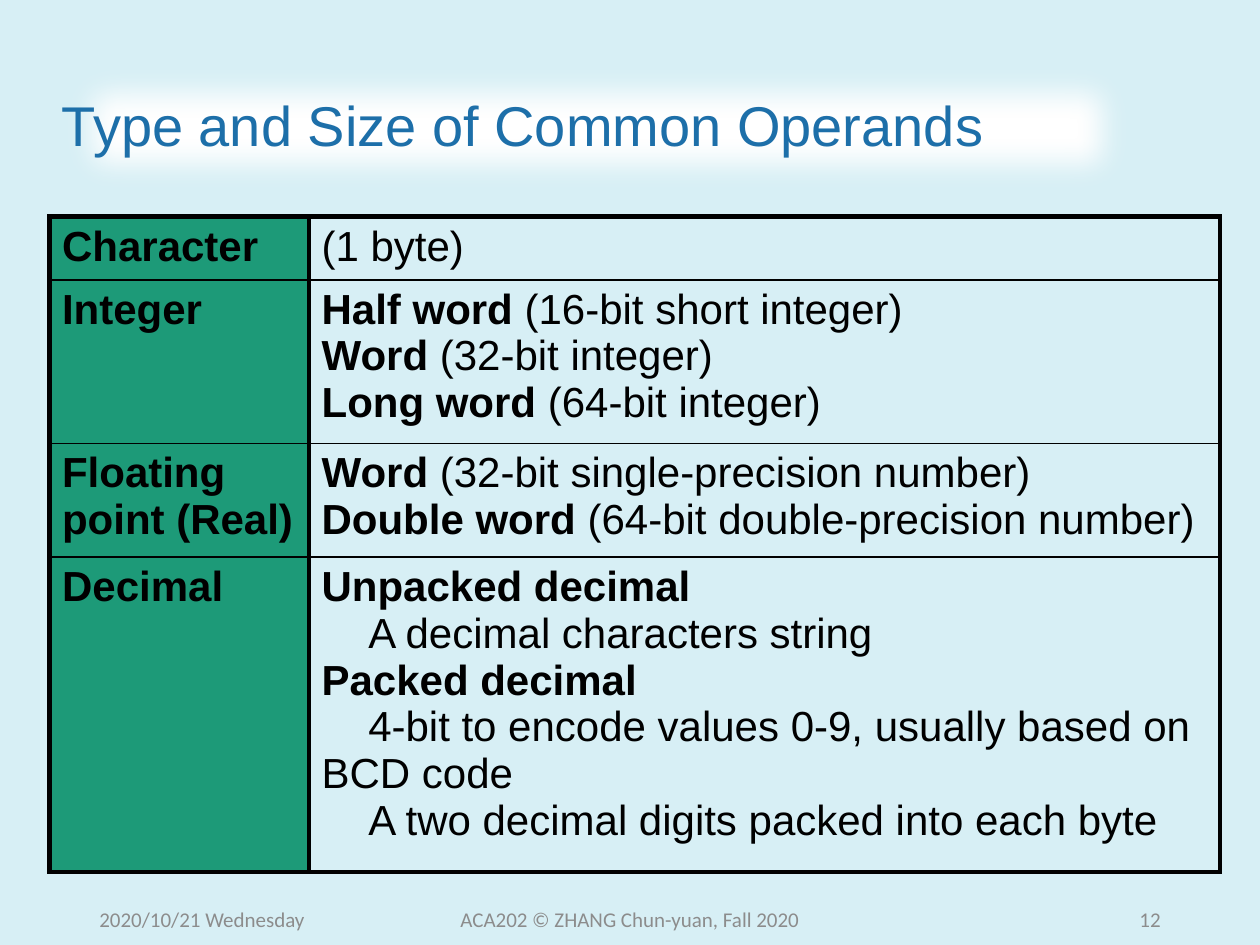
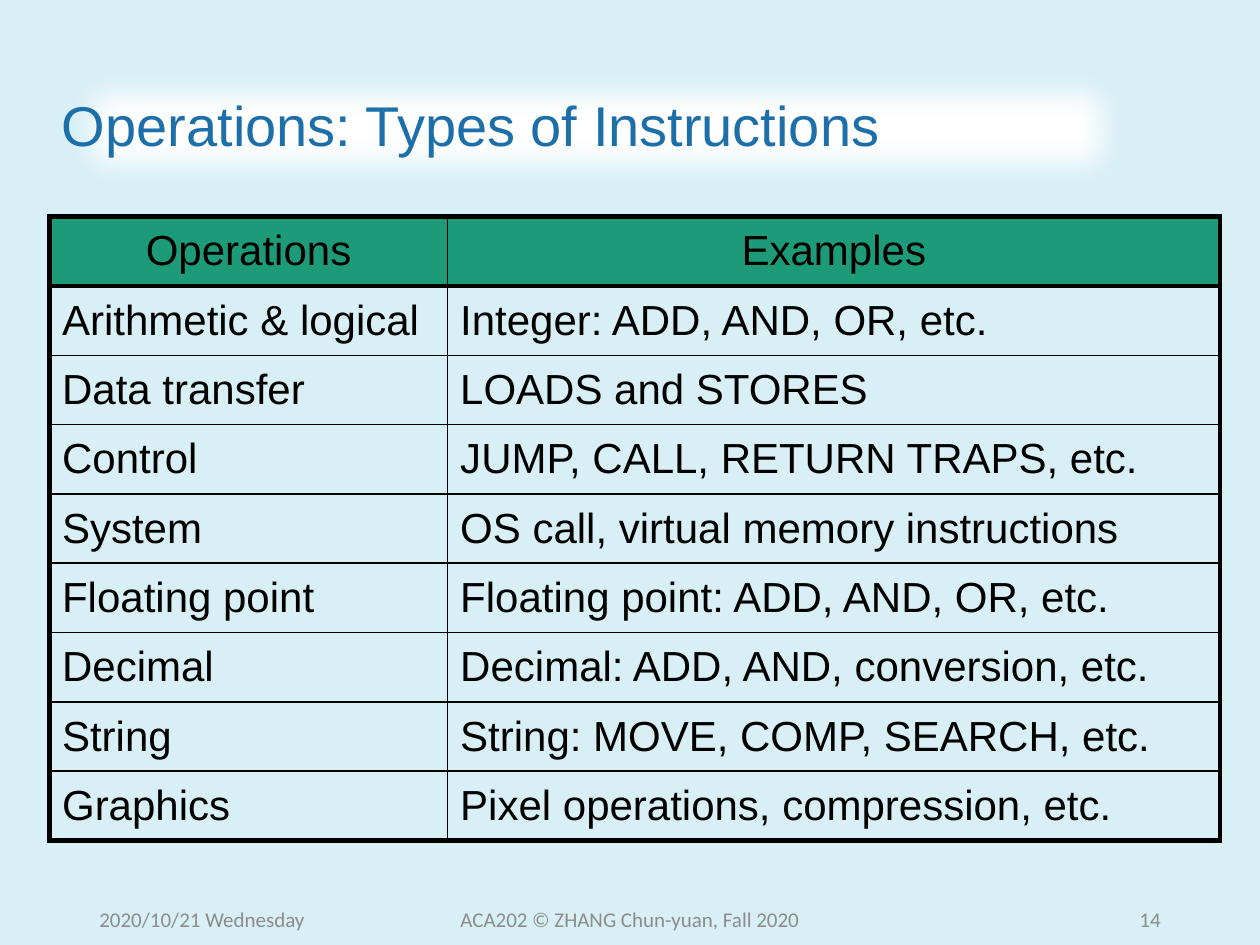
from lxml import etree
from pptx import Presentation
from pptx import util as u
from pptx.dml.color import RGBColor
from pptx.enum import shapes, text
from pptx.oxml import ns

WIDTH, HEIGHT = u.Inches(10), u.Inches(7.5)
COLUMNS, ROWS = 100, 75
BACKGROUND, WHITE, BLACK = "D7EFF5", "FFFFFF", "000000"
TITLE_BLUE, HEADER_GREEN, FOOTER_GREY = "1D6FA9", "1D9A78", "8C8C8C"
THICK, THIN = 3, 1
LEFT, TABLE_TOP, TABLE_WIDTH = 3.93, 17.2, 92.9
LINE_HEIGHT, CELL_PADDING = 2.8, 0.8
SOFT_EDGE = u.Pt(20)
FIRST_LINE_INDENT = u.Inches(0.37)
ALIGN = text.PP_ALIGN

FOOTER_DATE = "2020/10/21 Wednesday"
FOOTER_COURSE = "ACA202 © ZHANG Chun-yuan, Fall 2020"

OPERANDS = [
    ("Character", [("", "(1 byte)")]),
    ("Integer", [
        ("Half word", " (16-bit short integer)"),
        ("Word", " (32-bit integer)"),
        ("Long word", " (64-bit integer)"),
    ]),
    ("Floating point (Real)", [
        ("Word", " (32-bit single-precision number)"),
        ("Double word", " (64-bit double-precision number)"),
    ]),
    ("Decimal", [
        ("Unpacked decimal", ""),
        ("", "A decimal characters string"),
        ("Packed decimal", ""),
        ("", "4-bit to encode values 0-9, usually based on BCD code"),
        ("", "A two decimal digits packed into each byte"),
    ]),
]

INSTRUCTIONS = [
    ("Operations", "Examples"),
    ("Arithmetic & logical", "Integer: ADD, AND, OR, etc."),
    ("Data transfer", "LOADS and STORES"),
    ("Control", "JUMP, CALL, RETURN TRAPS, etc."),
    ("System", "OS call, virtual memory instructions"),
    ("Floating point", "Floating point: ADD, AND, OR, etc."),
    ("Decimal", "Decimal: ADD, AND, conversion, etc."),
    ("String", "String: MOVE, COMP, SEARCH, etc."),
    ("Graphics", "Pixel operations, compression, etc."),
]


def color(value):
    """Turn a hex string into a colour."""
    return RGBColor.from_string(value)


def across(columns):
    """Return the length of a number of grid columns."""
    return int(WIDTH * columns / COLUMNS)


def down(rows):
    """Return the length of a number of grid rows."""
    return int(HEIGHT * rows / ROWS)


def area(left, top, width, height):
    """Return a box of grid cells as lengths."""
    return across(left), down(top), across(width), down(height)


def style(paragraph, size, ink, face="Arial", align=ALIGN.LEFT):
    """Set the font and alignment of a paragraph."""
    paragraph.font.size = u.Pt(size)
    paragraph.font.name = face
    paragraph.font.color.rgb = color(ink)
    paragraph.alignment = align


def add_title(slide, wording):
    """Add the title on its white band with soft edges."""
    band = slide.shapes.add_shape(shapes.MSO_SHAPE.RECTANGLE, *area(LEFT, 4.05, 86.9, 12.3))
    band.fill.solid()
    band.fill.fore_color.rgb = color(WHITE)
    band.line.fill.background()
    band.shadow.inherit = False
    effects = band._element.spPr.find(ns.qn("a:effectLst"))
    etree.SubElement(effects, ns.qn("a:softEdge"), rad=str(SOFT_EDGE))
    band.text_frame.word_wrap = True
    band.text_frame.vertical_anchor = text.MSO_ANCHOR.MIDDLE
    paragraph = band.text_frame.paragraphs[0]
    paragraph.text = wording
    paragraph.line_spacing = 0.9
    style(paragraph, 32, TITLE_BLUE)


def add_footer(slide, number):
    """Add the date, the course and the slide number."""
    parts = [
        (FOOTER_DATE, 6.9, 22.5, ALIGN.LEFT),
        (FOOTER_COURSE, 33.1, 33.8, ALIGN.CENTER),
        (str(number), 70.6, 22.5, ALIGN.RIGHT),
    ]
    for wording, left, width, align in parts:
        frame = slide.shapes.add_textbox(*area(left, 70.95, width, 4)).text_frame
        frame.word_wrap = True
        frame.vertical_anchor = text.MSO_ANCHOR.MIDDLE
        paragraph = frame.paragraphs[0]
        paragraph.text = wording
        style(paragraph, 12, FOOTER_GREY, "Calibri", align)


def add_slide(presentation, title, number):
    """Add a slide with the shared background, title and footer."""
    slide = presentation.slides.add_slide(presentation.slide_layouts[6])
    slide.background.fill.solid()
    slide.background.fill.fore_color.rgb = color(BACKGROUND)
    add_title(slide, title)
    add_footer(slide, number)
    return slide


def add_grid(slide, first_width, heights, total_height):
    """Add a two-column table without banding."""
    box = area(LEFT, TABLE_TOP, TABLE_WIDTH, total_height)
    frame = slide.shapes.add_table(len(heights), 2, *box)
    table = frame.table
    table.first_row = table.horz_banding = False
    for column, width in zip(table.columns, (first_width, TABLE_WIDTH - first_width)):
        column.width = across(width)
    for row, height in zip(table.rows, heights):
        row.height = down(height)
    frame.height = down(total_height)
    return table


def border_cell(cell, widths):
    """Draw the left, right, top and bottom borders of a cell."""
    properties = cell._tc.get_or_add_tcPr()
    for position, (side, width) in enumerate(zip("LRTB", widths)):
        line = etree.Element(ns.qn(f"a:ln{side}"), w=str(u.Pt(width)))
        fill = etree.SubElement(line, ns.qn("a:solidFill"))
        etree.SubElement(fill, ns.qn("a:srgbClr"), val=BLACK)
        properties.insert(position, line)


def finish_table(table, is_header, column_rule, header_rule):
    """Fill the header cells and draw a thick frame with inner rules."""
    last = len(table.rows) - 1
    row_rules = [THICK, header_rule] + [THIN] * (last - 1) + [THICK]
    column_rules = [THICK, column_rule, THICK]
    for row in range(last + 1):
        for column in range(2):
            cell = table.cell(row, column)
            if is_header(row, column):
                cell.fill.solid()
                cell.fill.fore_color.rgb = color(HEADER_GREEN)
            else:
                cell.fill.background()
            border_cell(cell, column_rules[column:column + 2] + row_rules[row:row + 2])


def write_cell(cell, lines, align=ALIGN.LEFT):
    """Write lines of a bold term and a plain remark into a cell."""
    for index, (term, remark) in enumerate(lines):
        frame = cell.text_frame
        paragraph = frame.add_paragraph() if index else frame.paragraphs[0]
        style(paragraph, 24, BLACK, align=align)
        if index and not term:
            paragraph._p.get_or_add_pPr().set("indent", str(FIRST_LINE_INDENT))
        for wording, bold in ((term, True), (remark, False)):
            if wording:
                run = paragraph.add_run()
                run.text = wording
                run.font.bold = bold


def add_operands(slide):
    """Add the table of operand types with a green first column."""
    heights = [len(sizes) * LINE_HEIGHT + CELL_PADDING for kind, sizes in OPERANDS]
    table = add_grid(slide, 20.6, heights, 52)
    for row, (kind, sizes) in enumerate(OPERANDS):
        write_cell(table.cell(row, 0), [(kind, "")])
        write_cell(table.cell(row, 1), sizes)
    finish_table(table, lambda row, column: column == 0, THICK, THIN)


def add_instructions(slide):
    """Add the table of instruction types with a green first row."""
    table = add_grid(slide, 31.6, [5.5] * len(INSTRUCTIONS), 49.5)
    for row, wordings in enumerate(INSTRUCTIONS):
        for column, wording in enumerate(wordings):
            cell = table.cell(row, column)
            cell.vertical_anchor = text.MSO_ANCHOR.MIDDLE
            write_cell(cell, [("", wording)], ALIGN.LEFT if row else ALIGN.CENTER)
    finish_table(table, lambda row, column: row == 0, THIN, THICK)


def main():
    """Build both slides and save them."""
    presentation = Presentation()
    presentation.slide_width, presentation.slide_height = WIDTH, HEIGHT
    add_operands(add_slide(presentation, "Type and Size of Common Operands", 12))
    add_instructions(add_slide(presentation, "Operations: Types of Instructions", 14))
    presentation.save("out.pptx")


if __name__ == "__main__":
    main()
